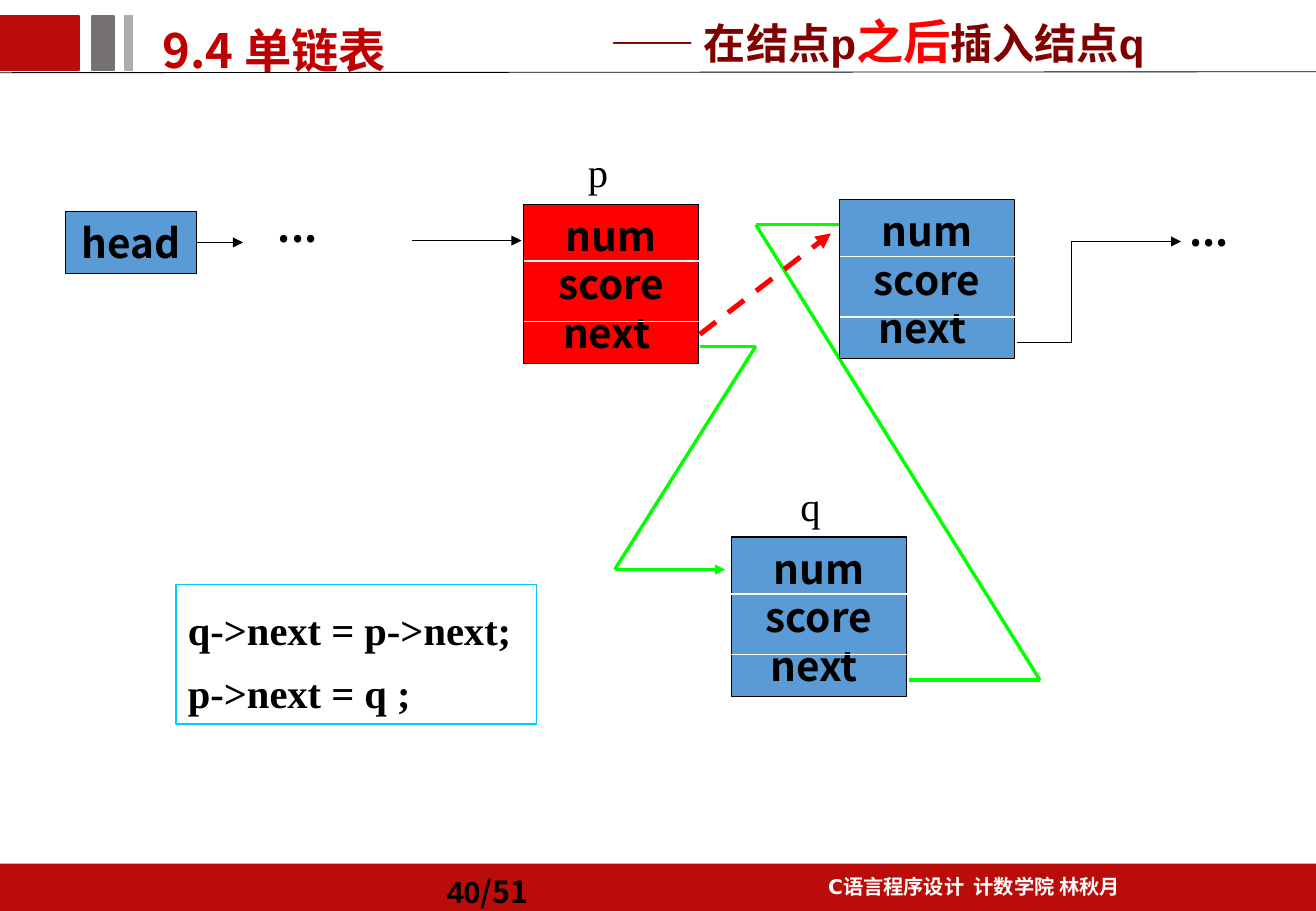
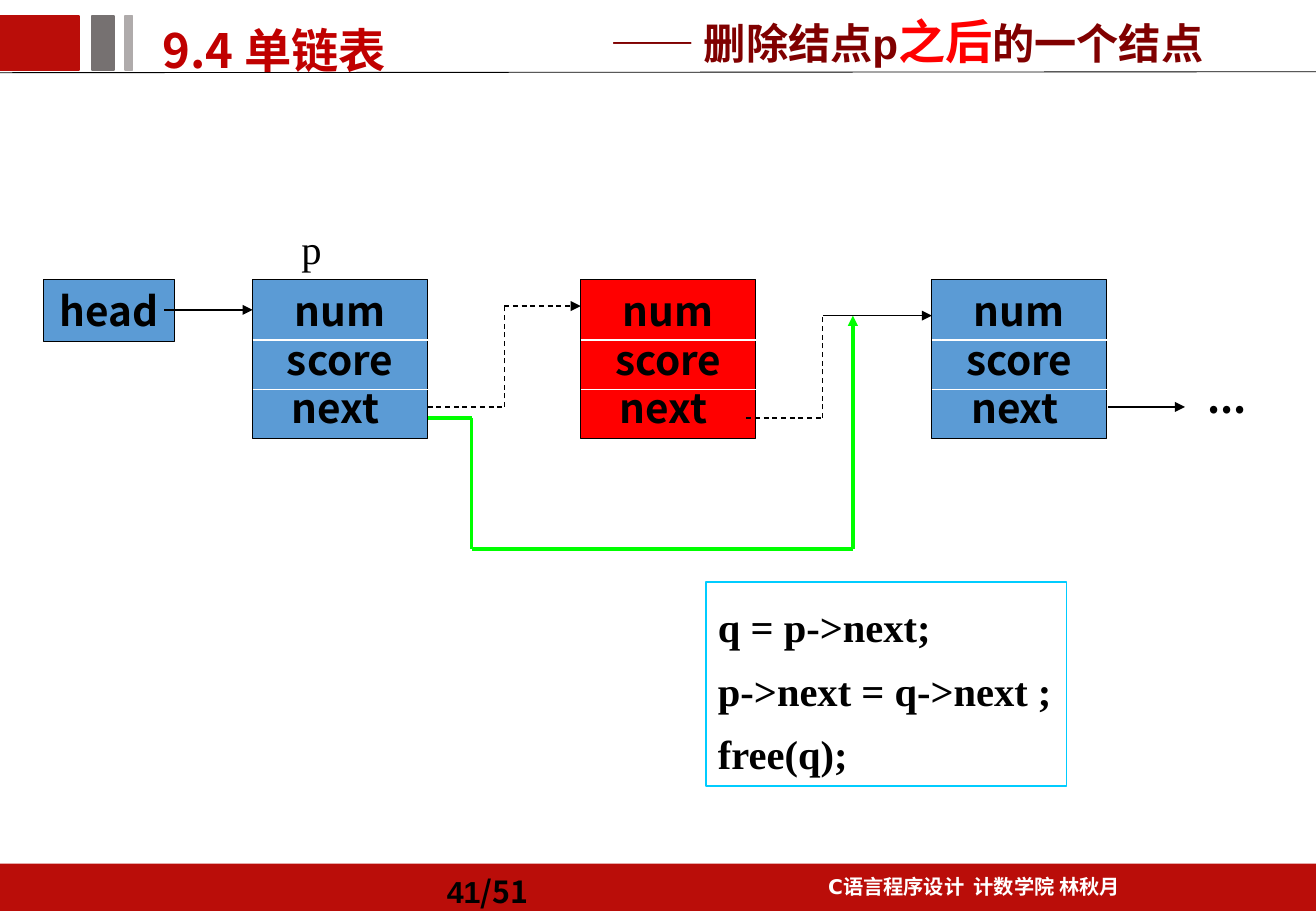
from itertools import pairwise

from lxml import etree
from pptx import Presentation
from pptx.dml.color import RGBColor
from pptx.enum import dml, shapes, text
from pptx.oxml.ns import qn
from pptx.util import Cm, Pt

COLOURS = {
    "band": "BA0D09", "dark_grey": "767171", "light_grey": "AFABAB",
    "section": "C00000", "title": "800000", "red": "FF0000",
    "node": "5B9BD5", "link": "00FF00", "code": "00CCFF",
    "black": "000000", "white": "FFFFFF",
}
CJK, SERIF = "Noto Sans CJK SC", "Times New Roman"
WIDTH, HEIGHT = 27.51, 19.05
NODE_WIDTH, NODE_HEIGHT = 3.66, 3.33
HEAD_WIDTH, HEAD_HEIGHT = 2.74, 1.3
LEFT, CENTRE = text.PP_ALIGN.LEFT, text.PP_ALIGN.CENTER
TOP, MIDDLE, BOTTOM = (text.MSO_ANCHOR.TOP, text.MSO_ANCHOR.MIDDLE,
                       text.MSO_ANCHOR.BOTTOM)


def rgb(name):
    return RGBColor.from_string(COLOURS[name])


def write(shape, lines, font=CJK, size=24, colour="black", bold=True,
          align=LEFT, anchor=TOP, spacing=None, before=0):
    """Fill a shape with lines; a line is a string or a list of (text, format) runs."""
    frame = shape.text_frame
    frame.word_wrap = True
    frame.auto_size = text.MSO_AUTO_SIZE.NONE
    frame.vertical_anchor = anchor
    for index, line in enumerate(lines):
        paragraph = frame.add_paragraph() if index else frame.paragraphs[0]
        paragraph.alignment = align
        paragraph.space_before = Pt(before)
        if spacing:
            paragraph.line_spacing = spacing
        for words, look in [(line, {})] if isinstance(line, str) else line:
            run = paragraph.add_run()
            run.text = words
            run.font.name = look.get("font", font)
            run.font.size = Pt(look.get("size", size))
            run.font.bold = bold
            run.font.color.rgb = rgb(look.get("colour", colour))
            east_asian = etree.SubElement(run.font._element, qn("a:ea"))
            east_asian.set("typeface", CJK)


def add_text(slide, left, top, width, height, lines, **look):
    box = slide.shapes.add_textbox(Cm(left), Cm(top), Cm(width), Cm(height))
    write(box, lines, **look)
    return box


def add_box(slide, left, top, width, height, fill=None, line=None, weight=0.75):
    box = slide.shapes.add_shape(shapes.MSO_SHAPE.RECTANGLE,
                                 Cm(left), Cm(top), Cm(width), Cm(height))
    box.shadow.inherit = False
    if fill:
        box.fill.solid()
        box.fill.fore_color.rgb = rgb(fill)
    else:
        box.fill.background()
    if line:
        box.line.color.rgb = rgb(line)
        box.line.width = Pt(weight)
    else:
        box.line.fill.background()
    return box


def add_route(slide, *points, colour="black", weight=0.75, dashed=False, arrow=False):
    """Join points with straight connectors; return them in order."""
    segments = []
    for start, end in pairwise(points):
        segment = slide.shapes.add_connector(
            shapes.MSO_CONNECTOR.STRAIGHT, *map(Cm, (*start, *end)))
        segment.line.color.rgb = rgb(colour)
        segment.line.width = Pt(weight)
        if dashed:
            segment.line.dash_style = dml.MSO_LINE.DASH
        etree.SubElement(segment.element.spPr, qn("a:effectLst"))
        segments.append(segment)
    if arrow:
        outline = segments[-1].line._get_or_add_ln()
        etree.SubElement(outline, qn("a:tailEnd")).set("type", "triangle")
    return segments


def add_node(slide, left, top, dividers, fill="node"):
    node = add_box(slide, left, top, NODE_WIDTH, NODE_HEIGHT, fill, "black")
    write(node, ["num", "score", "next "], align=CENTRE, anchor=MIDDLE)
    for offset in dividers:
        y = top + offset
        add_route(slide, (left, y), (left + NODE_WIDTH, y), colour="white")


def add_head(slide, left, top):
    head = add_box(slide, left, top, HEAD_WIDTH, HEAD_HEIGHT, "node", "black")
    write(head, ["head"], align=CENTRE, anchor=MIDDLE)
    return head


def add_pointer_name(slide, left, top, name):
    add_text(slide, left, top, 0.94, 1.3, [name], font=SERIF, bold=False)


def add_dots(slide, left, top):
    add_text(slide, left, top, 2.06, 1.27, ["..."], before=12)


def add_code(slide, left, top, height, lines):
    code = add_box(slide, left, top, 7.54, height, line="code")
    code.text_frame.margin_right = 0
    write(code, lines, font=SERIF, spacing=1.3)


def move_frame_to_layout(slide):
    """Draw the bands, section name and footer, and keep them in the layout."""
    add_box(slide, 0, 18.06, WIDTH, 0.99, "band")
    add_text(slide, 15.49, 18.06, 9.75, 0.86,
             [[("C", {"font": "DejaVu Sans"}), ("语言程序设计  计数学院 林秋月", {})]],
             font=SERIF, size=12, colour="white", align=CENTRE, spacing=1.2, before=2.4)
    add_route(slide, (0, 1.52), (WIDTH, 1.5), weight=0.5)
    for left, width, colour in ((0, 1.65, "band"), (1.93, 0.46, "dark_grey"),
                                (2.62, 0.15, "light_grey")):
        add_box(slide, left, 0.33, width, 1.14, colour, colour, 1)
    add_text(slide, 3.15, 0.08, 13.23, 1.7, ["9.4 单链表"], size=28,
             colour="section", spacing=1.2, before=5.6)
    for shape in list(slide.shapes):
        if not shape.is_placeholder:
            slide.slide_layout.shapes.element.append(shape.element)


def start_slide(presentation, number, before, after):
    """Add a slide with its title, 之后 stressed, and its page number."""
    slide = presentation.slides.add_slide(presentation.slide_layouts[5])
    title = slide.shapes.title
    title.left, title.top, title.width, title.height = map(Cm, (12.5, 0.13, 13.46, 1.45))
    write(title, [[(before, {}), ("之后", {"size": 28, "colour": "red"}), (after, {})]],
          font="Arial", size=25, colour="title", anchor=BOTTOM)
    add_text(slide, 9.09, 18.06, 3.61, 0.99,
             [[(str(number), {"font": "Arial"}), ("/51", {})]],
             size=18, anchor=MIDDLE, spacing=1.2, before=3.6)
    return slide


def draw_insertion(slide):
    link = {"colour": "link", "weight": 2}
    dividers = (1.19, 2.46)
    add_route(slide, (14.63, 7.24), (15.8, 7.24), (12.85, 11.91), (15.16, 11.91),
              arrow=True, **link)
    add_route(slide, (19, 14.22), (21.74, 14.22), (15.8, 4.7), (17.55, 4.7), **link)
    add_node(slide, 15.29, 11.23, dividers)
    add_node(slide, 10.95, 4.27, dividers, "red")
    add_node(slide, 17.55, 4.17, dividers)
    head = add_head(slide, 1.37, 4.42)
    head_arrow, = add_route(slide, (4.11, 5.07), (5.08, 5.07), arrow=True)
    head_arrow.begin_connect(head, 3)
    add_dots(slide, 5.56, 4.11)
    add_route(slide, (8.61, 5.03), (10.9, 5.03), arrow=True)
    add_route(slide, (14.63, 6.99), (17.37, 4.88), colour="red", weight=3,
              dashed=True, arrow=True)
    add_route(slide, (21.26, 7.16), (22.4, 7.16), (22.4, 5.05), (24.69, 5.05), arrow=True)
    add_dots(slide, 24.61, 4.19)
    add_pointer_name(slide, 12.04, 2.95, "p")
    add_pointer_name(slide, 16.48, 9.93, "q")
    add_code(slide, 3.68, 12.22, 2.92, ["q->next = p->next;", "p->next = q ;"])


def draw_deletion(slide):
    top = 5.84
    add_route(slide, (8.94, 8.74), (9.86, 8.74), (9.86, 11.48), (17.83, 11.48),
              (17.83, 6.6), colour="link", weight=2, arrow=True)
    add_head(slide, 0.91, top)
    for left, fill in ((5.28, "node"), (12.14, "red"), (19.48, "node")):
        add_node(slide, left, top, (1.27, 2.31), fill)
    add_route(slide, (3.43, 6.48), (5.28, 6.48), arrow=True)
    add_route(slide, (8.94, 8.51), (10.54, 8.51), (10.54, 6.4), (12.14, 6.4),
              dashed=True, arrow=True)
    add_route(slide, (15.6, 8.74), (17.2, 8.74), (17.2, 6.6), dashed=True)
    add_route(slide, (17.2, 6.6), (19.48, 6.6), arrow=True)
    add_route(slide, (23.16, 8.51), (24.77, 8.51), arrow=True)
    add_dots(slide, 24.99, 7.67)
    add_pointer_name(slide, 6.05, 4.55, "p")
    add_code(slide, 14.76, 12.17, 4.27,
             ["q = p->next;", "p->next = q->next ;", "free(q);"])


def main():
    presentation = Presentation()
    presentation.slide_width, presentation.slide_height = Cm(WIDTH), Cm(HEIGHT)
    insertion = start_slide(presentation, 40, "—— 在结点p", "插入结点q")
    page_number = insertion.shapes[-1].element
    page_number.getparent().remove(page_number)
    move_frame_to_layout(insertion)
    insertion.shapes.element.append(page_number)
    draw_insertion(insertion)
    draw_deletion(start_slide(presentation, 41, "—— 删除结点p", "的一个结点"))
    presentation.save("out.pptx")


if __name__ == "__main__":
    main()
